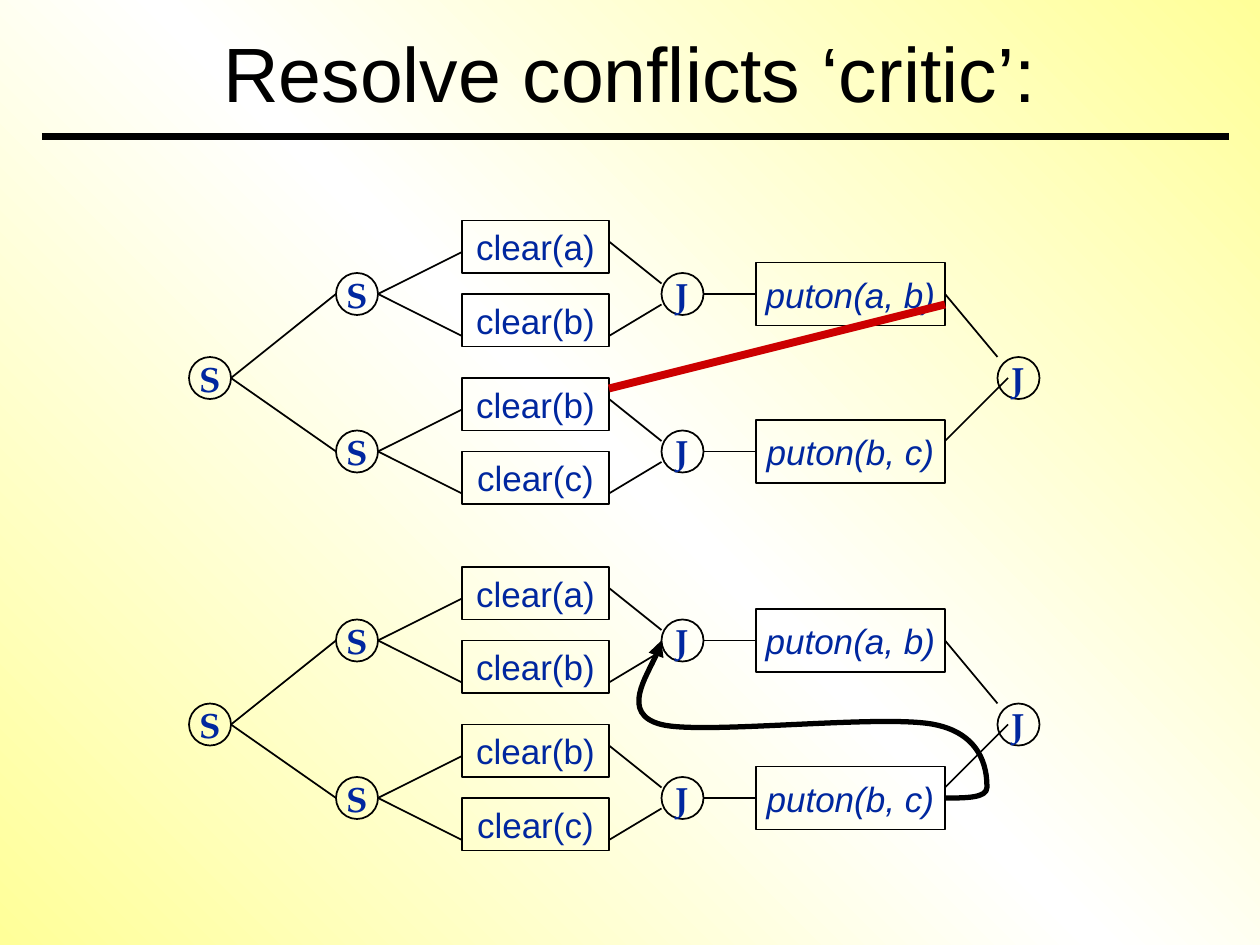
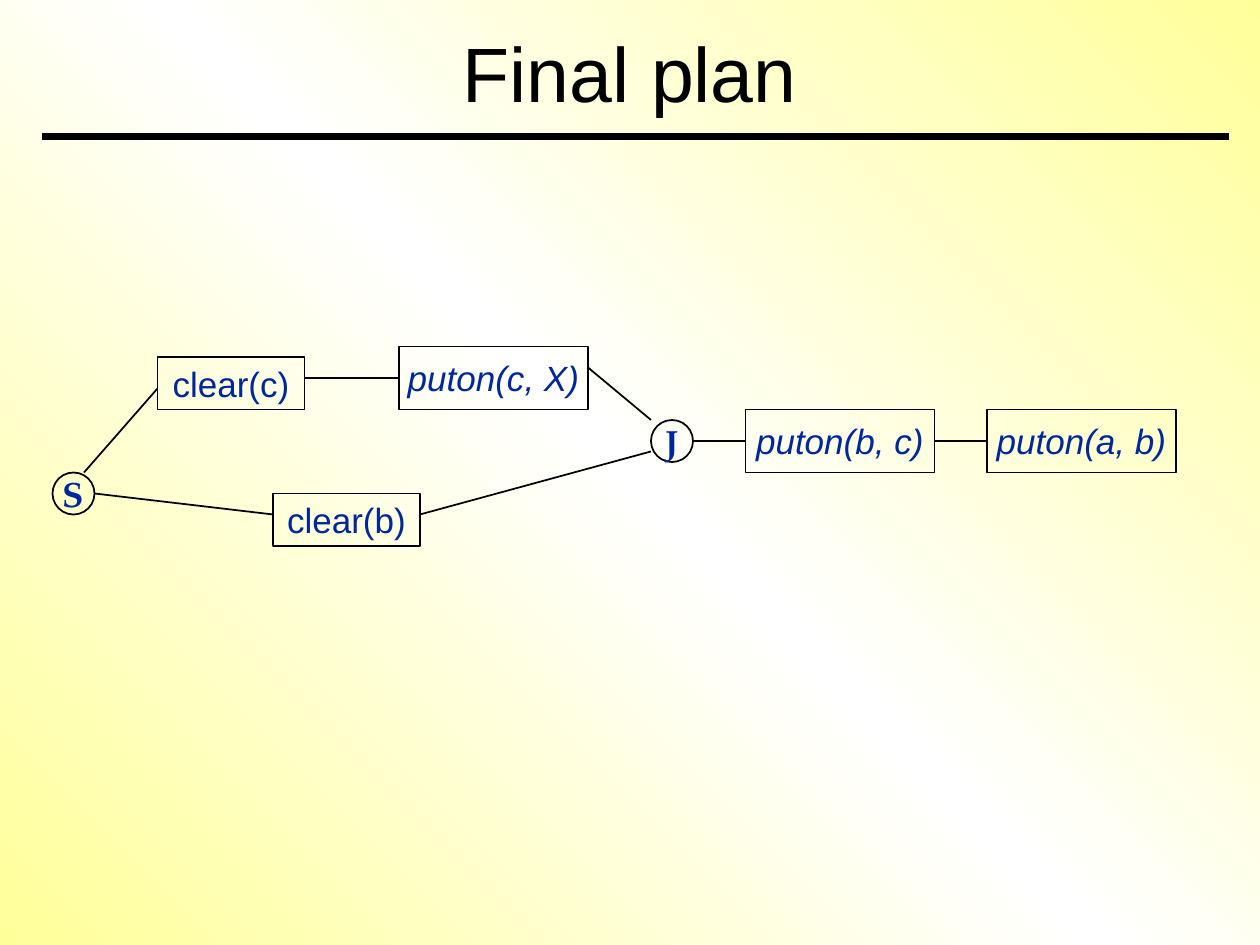
from copy import deepcopy

from pptx import Presentation
from pptx import util as u
from pptx.dml.color import RGBColor
from pptx.enum import shapes, text
from pptx.oxml import ns, xmlchemy

BLACK = RGBColor(0x00, 0x00, 0x00)
WHITE = RGBColor(0xFF, 0xFF, 0xFF)
YELLOW = RGBColor(0xFF, 0xFF, 0x99)
NAVY = RGBColor(0x00, 0x27, 0x9F)
RED = RGBColor(0xCC, 0x00, 0x00)

UNIT = 2.54 / 12
RECTANGLE = shapes.MSO_SHAPE.RECTANGLE
OVAL = shapes.MSO_SHAPE.OVAL
ACTION = {"size": u.Pt(20), "name": "Arial", "italic": True}
GOAL = {"size": u.Pt(20), "name": "Arial"}
JOINT = {"size": u.Pt(20), "name": "TeX Gyre Pagella", "bold": True}
TITLE = {"size": u.Pt(44), "name": "Arial"}
NODE_KINDS = {
    "puton": (RECTANGLE, 18, 6, ACTION),
    "clear": (RECTANGLE, 14, 5, GOAL),
    "S": (OVAL, 4, 4, JOINT),
    "J": (OVAL, 4, 4, JOINT),
}
side_middles = {}


def add_node(page, label, x, y):
    outline, width, height, font = NODE_KINDS[label.split("(")[0]]
    box = page.shapes.add_shape(outline, *(u.Cm(n * UNIT) for n in (x, y, width, height)))
    box.shadow.inherit = False
    box.fill.background()
    box.line.color.rgb = BLACK
    box.line.width = u.Pt(1)
    frame = box.text_frame
    frame.word_wrap = False
    frame.vertical_anchor = text.MSO_ANCHOR.MIDDLE
    para = frame.paragraphs[0]
    para.alignment = text.PP_ALIGN.CENTER
    span = para.add_run()
    span.text = label
    span.font.color.rgb = NAVY
    for name, value in font.items():
        setattr(span.font, name, value)
    if outline == RECTANGLE:
        side_middles[page.slide_id, x, y + height / 2] = box, 1
        side_middles[page.slide_id, x + width, y + height / 2] = box, 3


def add_link(page, start, end, color=BLACK, weight=1):
    link = page.shapes.add_connector(
        shapes.MSO_CONNECTOR.STRAIGHT, *(u.Cm(n * UNIT) for n in (*start, *end)))
    link.line.color.rgb = color
    link.line.width = u.Pt(weight)
    xmlchemy.OxmlElement("a:effectLst")
    link.element.spPr.append(xmlchemy.OxmlElement("a:effectLst"))
    for point, connect in ((start, link.begin_connect), (end, link.end_connect)):
        if (page.slide_id, *point) in side_middles:
            connect(*side_middles[page.slide_id, *point])
    return link


deck = Presentation()
deck.slide_width = u.Cm(25.4)
deck.slide_height = u.Cm(19.05)
master = deck.slide_master

backdrop = master.background.fill
backdrop.gradient()
backdrop.gradient_angle = 45
stop_list = master.element.find(".//" + ns.qn("a:gsLst"))
stop_list.insert(1, deepcopy(stop_list[0]))
for stop, position, color in zip(backdrop.gradient_stops, (0, 0.5, 1), (YELLOW, WHITE, YELLOW)):
    stop.position = position
    stop.color.rgb = color

pages = []
for heading in ("Resolve conflicts ‘critic’:", "Final plan"):
    page = deck.slides.add_slide(deck.slide_layouts[5])
    title = page.shapes.title
    title.left, title.top, title.width, title.height = (
        u.Cm(n) for n in (1.27, 0.43, 22.86, 2.03))
    title.text_frame.text = heading
    title.text_frame.vertical_anchor = text.MSO_ANCHOR.MIDDLE
    para = title.text_frame.paragraphs[0]
    para.alignment = text.PP_ALIGN.CENTER
    para.font.color.rgb = BLACK
    for name, value in TITLE.items():
        setattr(para.font, name, value)
    pages.append(page)
conflict_page, final_page = pages

title_rule = add_link(conflict_page, (4, 13), (117, 13), weight=4.5)
master.element.cSld.spTree.append(title_rule.element)

for plan_top in (21, 54):
    add_node(conflict_page, "S", 18, plan_top + 13)
    add_node(conflict_page, "J", 95, plan_top + 13)
    branches = (("clear(a)", "clear(b)", "puton(a, b)"), ("clear(b)", "clear(c)", "puton(b, c)"))
    for row, (first_goal, second_goal, action) in enumerate(branches):
        top = plan_top + 15 * row
        middle = top + 7
        add_node(conflict_page, "S", 32, top + 5)
        add_node(conflict_page, first_goal, 44, top)
        add_node(conflict_page, second_goal, 44, top + 7)
        add_node(conflict_page, "J", 63, top + 5)
        add_node(conflict_page, action, 72, top + 4)
        for start, end in (
            ((22, plan_top + 15), (32, middle)),
            ((36, middle), (44, top + 3)),
            ((36, middle), (44, top + 11)),
            ((58, top + 2), (63, top + 6)),
            ((58, top + 11), (63, top + 8)),
            ((67, middle), (72, middle)),
        ):
            add_link(conflict_page, start, end)
    add_link(conflict_page, (90, plan_top + 7), (95, plan_top + 13))
    add_link(conflict_page, (90, plan_top + 21), (96, plan_top + 15))

add_link(conflict_page, (90, 29), (58, 37), RED, 4.5)

curve_points = [
    (92, 76.1), (94.2, 76.2), (94, 75),
    (93.8, 73.8), (94.2, 70), (89, 69),
    (83.9, 68), (67.3, 70.3), (63, 69),
    (58.7, 67.7), (63, 62.3), (63, 61),
]
builder = conflict_page.shapes.build_freeform(90, 76, scale=u.Cm(UNIT))
builder.add_line_segments(curve_points, close=False)
ordering = builder.convert_to_shape()
ordering.shadow.inherit = False
ordering.fill.background()
ordering.line.color.rgb = BLACK
ordering.line.width = u.Pt(3)
arrowhead = xmlchemy.OxmlElement("a:tailEnd")
arrowhead.set("type", "triangle")
ordering.line._get_or_add_ln().append(arrowhead)
segments = list(ordering.element.iter(ns.qn("a:lnTo")))
for first in range(0, len(segments), 3):
    bezier = xmlchemy.OxmlElement("a:cubicBezTo")
    segments[first].addprevious(bezier)
    for segment in segments[first:first + 3]:
        bezier.append(segment[0])
        segment.getparent().remove(segment)

for label, x, y in (
    ("S", 5, 45),
    ("clear(c)", 15, 34),
    ("clear(b)", 26, 47),
    ("puton(c, X)", 38, 33),
    ("J", 62, 40),
    ("puton(b, c)", 71, 39),
    ("puton(a, b)", 94, 39),
):
    add_node(final_page, label, x, y)
for start, end in (
    ((8, 45), (15, 37)),
    ((9, 47), (26, 49)),
    ((29, 36), (38, 36)),
    ((56, 35), (62, 40)),
    ((40, 49), (62, 43)),
    ((66, 42), (71, 42)),
    ((89, 42), (94, 42)),
):
    add_link(final_page, start, end)

deck.save("out.pptx")
